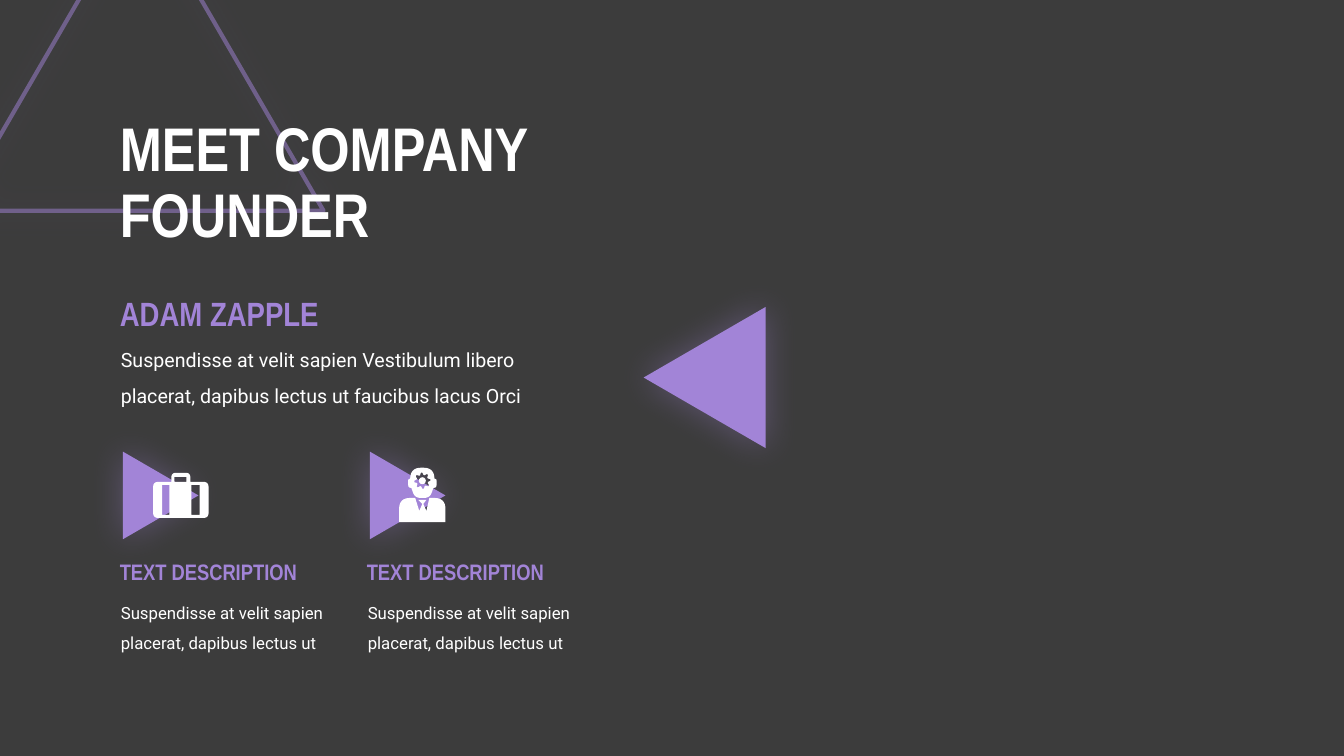
from dataclasses import dataclass
from math import cos, pi, sin

from lxml import etree
from pptx import Presentation
from pptx.dml.color import RGBColor
from pptx.enum.shapes import MSO_SHAPE
from pptx.enum.text import MSO_ANCHOR, MSO_AUTO_SIZE
from pptx.oxml.ns import qn
from pptx.shapes.autoshape import Shape
from pptx.util import Pt

TRIANGLE = MSO_SHAPE.ISOSCELES_TRIANGLE
OVAL = MSO_SHAPE.OVAL
MIDDLE = MSO_ANCHOR.MIDDLE
GROW = MSO_AUTO_SIZE.SHAPE_TO_FIT_TEXT

COLORS = {"background": "3C3C3C", "accent": "A284D7", "white": "FFFFFF"}
HEADING_FONT = "Arial Narrow"
BODY_FONT = "Roboto"
COLUMN_STEP = 176.4

Point = tuple[float, float]
Corner = tuple[float, float, float]


@dataclass
class Label:
    text: str
    left: float
    top: float
    width: float
    height: float
    size: float
    color: str = "accent"
    font: str = HEADING_FONT
    bold: bool = True
    spacing: float = 1.0


@dataclass
class Triangle:
    left: float
    top: float
    width: float
    height: float
    rotation: float = 0
    outlined: bool = False


TITLE = Label("MEET COMPANY\vFOUNDER", 78.5, 74.9, 404.6, 113.8, 44, "white", spacing=0.9)
PROFILE = [
    Label("Suspendisse at velit sapien Vestibulum libero placerat, "
          "dapibus lectus ut faucibus lacus Orci",
          79.2, 236.9, 324.7, 55.4, 14, "white", BODY_FONT, False, 1.5),
    Label("ADAM ZAPPLE", 78.5, 205.9, 176.4, 36, 24),
]
FRAME_TRIANGLE = Triangle(-31, -75.6, 262.1, 226.1, outlined=True)
POINTER_TRIANGLE = Triangle(452.9, 226.1, 100.8, 87.1, 270)

# Icon corners: x, y, rounding radius
SUITCASE = [
    (109.4, 344.2, 3.8), (122.4, 344.2, 0), (122.4, 337.7, 3.5), (136, 337.7, 3.5),
    (136, 344.2, 0), (149, 344.2, 3.8), (149, 370, 3.8), (109.4, 370, 3.8),
]
SUITCASE_GAPS = [
    (115.9, 346.3, 121, 367.9),
    (124.6, 340.6, 133.2, 344.2),
    (136.8, 346.3, 142.6, 367.9),
]
SUIT = [
    (285.1, 373, 0), (285.1, 355.7, 8), (296.6, 355.7, 0), (299.5, 365, 0),
    (301.7, 360, 0), (298.8, 357.1, 0), (304.6, 357.1, 0), (302.4, 360, 0),
    (304.6, 365, 0), (306.7, 355.7, 0), (318.2, 355.7, 8), (318.2, 373, 0),
]
HEAD = [
    (293, 334.1, 8), (310.3, 334.1, 8), (310.3, 342, 0), (311.8, 342, 1.4),
    (311.8, 348.5, 2), (309.6, 348.5, 0), (307, 355.7, 4), (296.4, 355.7, 4),
    (293.8, 348.5, 0), (291.6, 348.5, 2), (291.6, 342, 1.4), (293, 342, 0),
]
GEAR_CENTER = (301.7, 343.4)


def rgb(name: str) -> RGBColor:
    return RGBColor.from_string(COLORS[name])


def add_alpha(color_element, percent: int) -> None:
    etree.SubElement(color_element, qn("a:alpha"), val=str(percent * 1000))


def add_glow(shape: Shape) -> None:
    """Surround the shape with a soft accent shadow without offset."""
    shape.shadow.inherit = False
    effects = shape.element.spPr.find(qn("a:effectLst"))
    shadow = etree.SubElement(effects, qn("a:outerShdw"), blurRad=str(Pt(25)),
                              dist="0", dir="0", algn="ctr", rotWithShape="0")
    add_alpha(etree.SubElement(shadow, qn("a:srgbClr"), val=COLORS["accent"]), 35)


def add_triangle(shapes, triangle: Triangle) -> None:
    shape = shapes.add_shape(TRIANGLE, Pt(triangle.left), Pt(triangle.top),
                             Pt(triangle.width), Pt(triangle.height))
    shape.rotation = triangle.rotation
    if triangle.outlined:
        shape.fill.background()
        shape.line.width = Pt(3)
        shape.line.color.rgb = rgb("accent")
        add_alpha(shape.line._ln.find(".//" + qn("a:srgbClr")), 50)
    else:
        shape.fill.solid()
        shape.fill.fore_color.rgb = rgb("accent")
        shape.line.fill.background()
    add_glow(shape)


def add_label(shapes, label: Label):
    box = shapes.add_textbox(Pt(label.left), Pt(label.top), Pt(label.width), Pt(label.height))
    frame = box.text_frame
    frame.text = label.text
    frame.word_wrap = True
    frame.auto_size = GROW
    para = frame.paragraphs[0]
    para.line_spacing = label.spacing
    for span in para.runs:
        span.font.name = label.font
        span.font.size = Pt(label.size)
        span.font.bold = label.bold
        span.font.color.rgb = rgb(label.color)
    return frame


def rounded_outline(corners: list[Corner]) -> list[Point]:
    """Replace each corner that has a radius with points along a curve."""
    points = []
    for index, (x, y, radius) in enumerate(corners):
        if not radius:
            points.append((x, y))
            continue
        ends = []
        for near_x, near_y, _ in (corners[index - 1], corners[(index + 1) % len(corners)]):
            length = ((near_x - x) ** 2 + (near_y - y) ** 2) ** 0.5
            ends.append((x + (near_x - x) * radius / length, y + (near_y - y) * radius / length))
        (start_x, start_y), (end_x, end_y) = ends
        for step in range(9):
            t = step / 8
            a, b, c = (1 - t) ** 2, 2 * t * (1 - t), t ** 2
            points.append((a * start_x + b * x + c * end_x, a * start_y + b * y + c * end_y))
    return points


def rectangle(left: float, top: float, right: float, bottom: float) -> list[Point]:
    return [(left, top), (left, bottom), (right, bottom), (right, top)]


def gear_outline(center: Point, inner: float, outer: float, teeth: int) -> list[Point]:
    points = []
    for corner in range(teeth * 4):
        radius = outer if corner % 4 < 2 else inner
        angle = -2 * pi * corner / (teeth * 4)
        points.append((center[0] + radius * cos(angle), center[1] + radius * sin(angle)))
    return points


def paint_white(shape: Shape) -> None:
    shape.shadow.inherit = False
    shape.fill.solid()
    shape.fill.fore_color.rgb = rgb("white")
    shape.line.fill.background()


def add_icon_part(shapes, contours: list[list[Point]]) -> None:
    outlines = [[(Pt(x), Pt(y)) for x, y in contour] for contour in contours]
    builder = shapes.build_freeform(*outlines[0][0])
    for index, outline in enumerate(outlines):
        if index:
            builder.move_to(*outline[0])
        builder.add_line_segments(outline[1:], close=True)
    paint_white(builder.convert_to_shape())


def add_column(shapes, offset: float) -> None:
    add_triangle(shapes, Triangle(83.5 + offset, 326.9, 62.6, 54, 90))
    add_label(shapes, Label("Suspendisse at velit sapien placerat, dapibus lectus ut",
                            79.2 + offset, 419.8, 167, 48.2, 12, "white", BODY_FONT, False, 1.5))
    add_label(shapes, Label("TEXT DESCRIPTION", 78.5 + offset, 395.3, 159.1, 26.6, 16))


def main() -> None:
    deck = Presentation()
    deck.slide_width, deck.slide_height = Pt(960), Pt(540)
    page = deck.slides.add_slide(deck.slide_layouts[6])
    page.background.fill.solid()
    page.background.fill.fore_color.rgb = rgb("background")
    shapes = page.shapes

    add_triangle(shapes, FRAME_TRIANGLE)
    title_frame = add_label(shapes, TITLE)
    title_frame.auto_size = MSO_AUTO_SIZE.NONE
    title_frame.vertical_anchor = MIDDLE
    add_triangle(shapes, POINTER_TRIANGLE)
    for label in PROFILE:
        add_label(shapes, label)
    for column in range(2):
        add_column(shapes, column * COLUMN_STEP)

    add_icon_part(shapes, [rounded_outline(SUITCASE), *(rectangle(*gap) for gap in SUITCASE_GAPS)])
    founder = shapes.add_group_shape().shapes
    add_icon_part(founder, [rounded_outline(SUIT)])
    add_icon_part(founder, [rounded_outline(HEAD), gear_outline(GEAR_CENTER, 4.2, 5.8, 8)])
    paint_white(founder.add_shape(OVAL, Pt(299.2), Pt(340.9), Pt(5), Pt(5)))
    deck.save("out.pptx")


if __name__ == "__main__":
    main()
